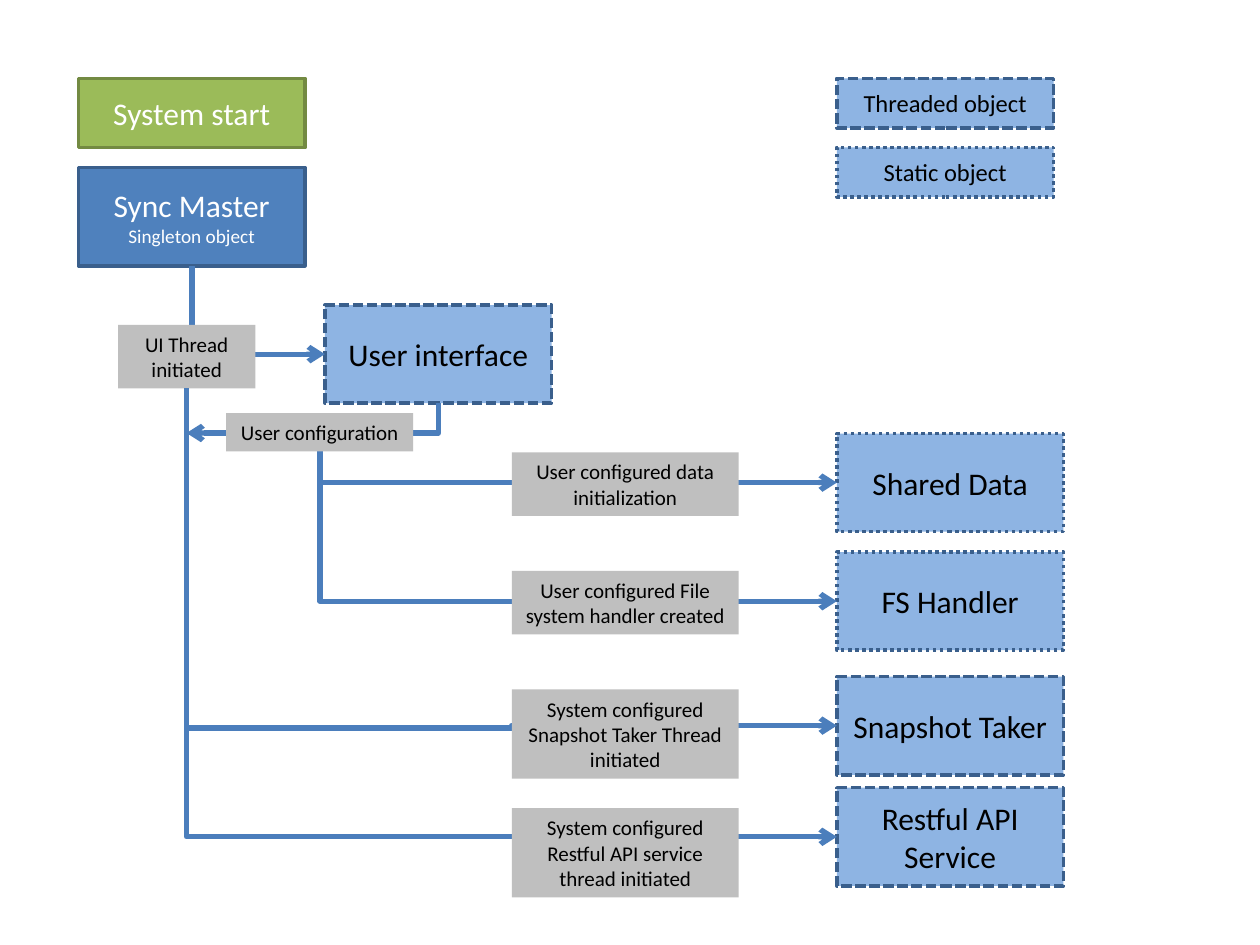
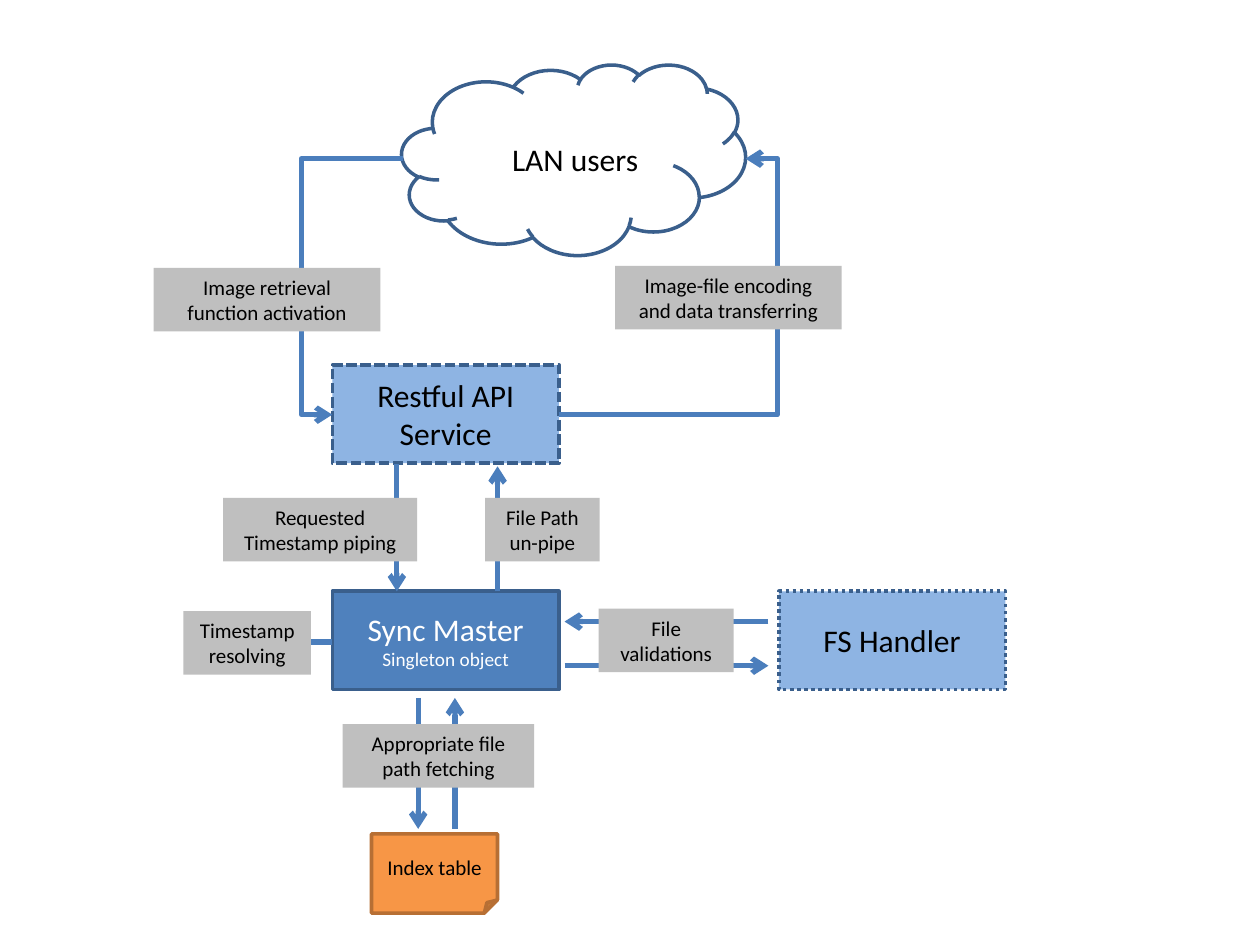
"""Build two flow slides: system start-up and image retrieval."""
from lxml.etree import SubElement
from pptx import Presentation
from pptx.dml.color import RGBColor
from pptx.enum.dml import MSO_LINE
from pptx.enum.shapes import MSO_CONNECTOR, MSO_SHAPE
from pptx.enum.text import MSO_ANCHOR, PP_ALIGN
from pptx.oxml.ns import qn
from pptx.util import Cm, Pt

FONT = "Calibri"
EDGE, WIRE = "3A5F8C", "4B7EBC"
BLACK, WHITE = "000000", "FFFFFF"
WIDE, HIGH = 4.57, 1.98
RECT = MSO_SHAPE.RECTANGLE
DASH, DOT = MSO_LINE.SQUARE_DOT, MSO_LINE.ROUND_DOT
STYLES = {
    "start": (RECT, "9BBB59", "738A42", None, 18, WHITE),
    "master": (RECT, "4F81BD", EDGE, None, 18, WHITE),
    "thread": (RECT, "8EB4E3", EDGE, "sysDash", 18, BLACK),
    "static": (RECT, "8EB4E3", EDGE, "sysDot", 18, BLACK),
    "label": (RECT, "BFBFBF", None, None, 12, BLACK),
    "cloud": (MSO_SHAPE.CLOUD, None, EDGE, None, 18, BLACK),
    "note": (MSO_SHAPE.FOLDED_CORNER, "F79646", "B76F34", None, 12, BLACK),
}


def box(page, style, text, x, y, w=WIDE, h=HIGH, size=None):
    kind, fill, edge, dash, points, ink = STYLES[style]
    shape = page.shapes.add_shape(kind, Cm(x), Cm(y), Cm(w), Cm(h))
    shape.shadow.inherit = False
    if fill:
        shape.fill.solid()
        shape.fill.fore_color.rgb = RGBColor.from_string(fill)
    else:
        shape.fill.background()
    if edge:
        shape.line.color.rgb = RGBColor.from_string(edge)
        shape.line.width = Pt(2)
    else:
        shape.line.fill.background()
    if dash:
        shape.line.dash_style = DASH if dash == "sysDash" else DOT
    frame = shape.text_frame
    frame.text = text
    frame.word_wrap = True
    frame.vertical_anchor = MSO_ANCHOR.MIDDLE
    for i, para in enumerate(frame.paragraphs):
        para.alignment = PP_ALIGN.CENTER
        para.font.name = FONT
        para.font.size = Pt(11 if i else size or points)
        para.font.color.rgb = RGBColor.from_string(ink)


def link(page, x1, y1, x2, y2, bend=None):
    kind = MSO_CONNECTOR.STRAIGHT if bend is None else MSO_CONNECTOR.ELBOW
    ends = x1, y1, x2, y2
    if bend == 0:
        side = 1 if x2 > x1 else -1
        midx, midy = (x1 + x2) / 2, (y1 + y2) / 2
        across, down = abs(x2 - x1) / 2, side * (y2 - y1) / 2
        ends = midx + down, midy - across, midx - down, midy + across
    line = page.shapes.add_connector(kind, *[Cm(v) for v in ends])
    line.line.color.rgb = RGBColor.from_string(WIRE)
    line.line.width = Pt(3)
    props = line._element.spPr
    SubElement(props.find(qn("a:ln")), qn("a:tailEnd"), type="arrow")
    SubElement(props, qn("a:effectLst"))
    geom = props.find(qn("a:prstGeom"))
    if bend == 0:
        geom.set("prst", "bentConnector2")
        turn = 270 if side > 0 else 90
        props.find(qn("a:xfrm")).set("rot", str(turn * 60000))
    elif bend:
        SubElement(geom.find(qn("a:avLst")), qn("a:gd"), name="adj1",
                   fmla=f"val {round(bend * 100000)}")


deck = Presentation()
deck.slide_width, deck.slide_height = Cm(25.4), Cm(19.05)
blank = deck.slide_layouts[6]
MASTER = "Sync Master\nSingleton object"
REST = "Restful API Service"

page = deck.slides.add_slide(blank)
box(page, "start", "System start", 1.58, 1.58, h=1.4)
box(page, "master", MASTER, 1.58, 3.38)
box(page, "thread", "User interface", 6.55, 6.15)
box(page, "thread", "Threaded object", 16.87, 1.58, 4.37, 1, 14)
box(page, "static", "Static object", 16.87, 2.97, 4.37, 1, 14)
link(page, 3.87, 5.36, 6.55, 7.14, 0)
box(page, "label", "UI Thread initiated", 2.38, 6.55, 2.77, 1.28)

ROWS = [
    ("static", "Shared Data", 8.74, (6.45, 9.1), 0, 1.28,
     "User configured data initialization"),
    ("static", "FS Handler", 11.13, (6.45, 9.1), 0, 1.28,
     "User configured File system handler created"),
    ("thread", "Snapshot Taker", 13.64, (3.76, 14.68), 0.5, 1.8,
     "System configured Snapshot Taker Thread initiated"),
    ("thread", REST, 15.88, (3.76, 7.83), 0, 1.8,
     "System configured Restful API service thread initiated"),
]
for i, (style, name, top, start, bend, high, text) in enumerate(ROWS):
    box(page, style, name, 16.87, top)
    link(page, *start, 16.87, top + HIGH / 2, bend)
    box(page, "label", text, 10.32, 9.12 + 2.39 * i, WIDE, high)
link(page, 8.84, 8.13, 3.76, 8.73, 0)
box(page, "label", "User configuration", 4.56, 8.33, 3.77, 0.77)

page = deck.slides.add_slide(blank)
box(page, "master", MASTER, 6.7, 11.92)
box(page, "static", "FS Handler", 15.7, 11.92)
box(page, "thread", REST, 6.7, 7.36)
box(page, "cloud", "", 8.1, 1.3, 6.93, 3.84)
box(page, "note", "Index table", 7.49, 16.81, 2.54, 1.6)

LINKS = [
    (8.12, 3.2, 6.7, 8.36, 1.44),
    (11.26, 8.36, 15.03, 3.2, 1.17),
    (8, 9.35, 8, 11.92),
    (10.03, 11.92, 10.03, 9.4),
    (8.43, 14.07, 8.43, 16.71),
    (9.17, 16.71, 9.17, 14.07),
    (6.7, 12.94, 5.5, 12.94),
    (11.38, 13.42, 15.49, 13.42),
    (15.49, 12.53, 11.38, 12.53),
]
for ends in LINKS:
    link(page, *ends)

LABELS = [
    ("Image retrieval function activation", 3.1, 5.4, WIDE),
    ("Image-file encoding and data transferring", 12.4, 5.36, WIDE),
    ("Requested Timestamp piping", 4.5, 10.04, 3.91),
    ("File Path un-pipe", 9.78, 10.04, 2.31),
    ("Timestamp resolving", 3.7, 12.32, 2.57),
    ("File validations", 12.07, 12.27, 2.72),
    ("Appropriate file path fetching", 6.91, 14.6, 3.86),
]
for text, x, y, wide in LABELS:
    box(page, "label", text, x, y, wide, 1.28)

users = page.shapes.add_textbox(Cm(10.06), Cm(2.69), Cm(3.07), Cm(1.02))
para = users.text_frame.paragraphs[0]
para.text = "LAN users"
para.alignment = PP_ALIGN.CENTER
para.font.name = FONT
para.font.size = Pt(18)
para.font.color.rgb = RGBColor.from_string(BLACK)

deck.save("out.pptx")
